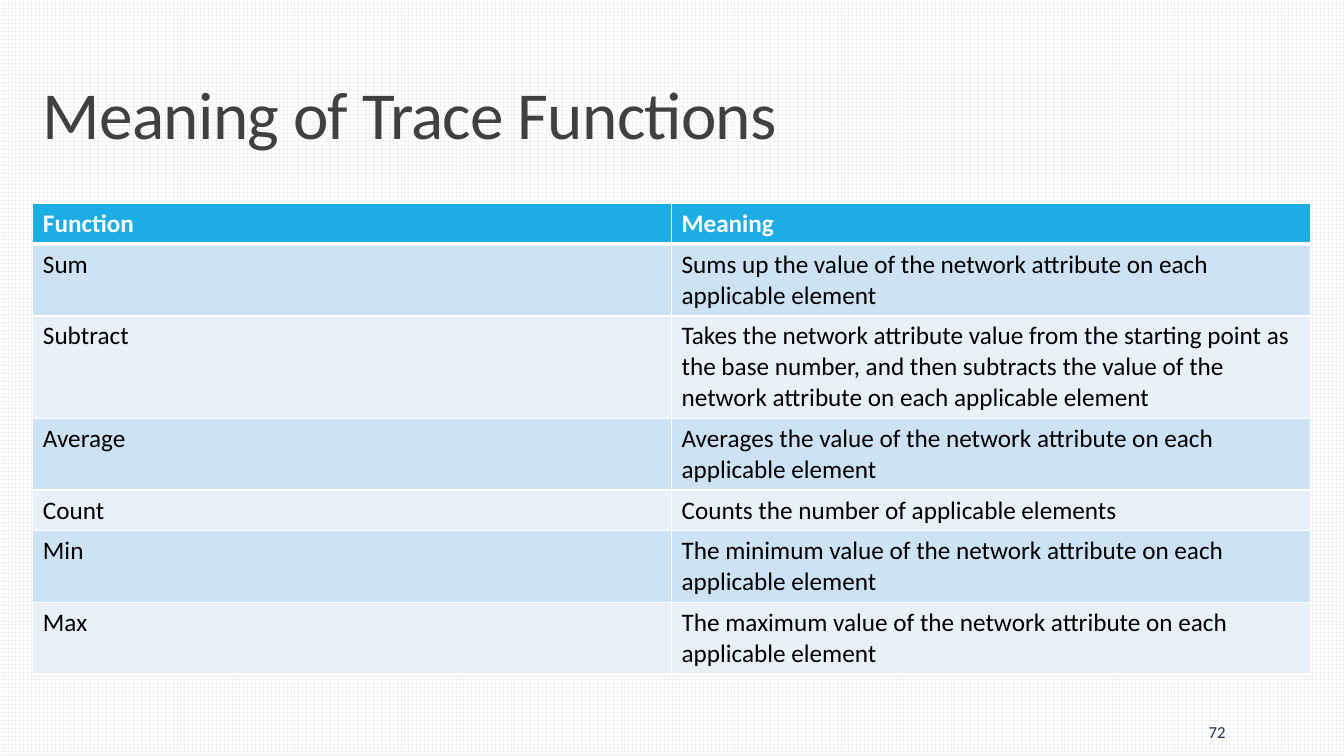
from pptx import Presentation
from pptx.dml.color import RGBColor
from pptx.enum.dml import MSO_PATTERN
from pptx.enum.shapes import MSO_SHAPE
from pptx.enum.text import MSO_ANCHOR, MSO_AUTO_SIZE, PP_ALIGN
from pptx.oxml.ns import qn
from pptx.util import Pt
from lxml import etree

GRID_PATTERN = MSO_PATTERN.LARGE_GRID
RECTANGLE = MSO_SHAPE.RECTANGLE
BOTTOM, MIDDLE = MSO_ANCHOR.BOTTOM, MSO_ANCHOR.MIDDLE
LEFT, RIGHT = PP_ALIGN.LEFT, PP_ALIGN.RIGHT
NO_AUTOFIT = MSO_AUTO_SIZE.NONE

FONT = "Calibri"
COLORS = {
    "white": "FFFFFF",
    "grid": "F2F2F2",
    "title": "404040",
    "header": "1CADE4",
    "odd_row": "CDE3F5",
    "even_row": "E8F1FA",
    "body": "000000",
    "page": "27304E",
}

# Function, meaning, and the number of lines the meaning takes
TRACE_FUNCTIONS = [
    ("Function", "Meaning", 1),
    ("Sum", "Sums up the value of the network attribute on each applicable element", 2),
    ("Subtract", "Takes the network attribute value from the starting point as the base "
     "number, and then subtracts the value of the network attribute on each "
     "applicable element", 3),
    ("Average", "Averages the value of the network attribute on each applicable element", 2),
    ("Count", "Counts the number of applicable elements", 1),
    ("Min", "The minimum value of the network attribute on each applicable element", 2),
    ("Max", "The maximum value of the network attribute on each applicable element", 2),
]
LINE_HEIGHT, CELL_PADDING = 21.6, 7.2
SLIDE_WIDTH, SLIDE_HEIGHT = Pt(960), Pt(540)
MARGIN = Pt(23.5)


def rgb(name):
    return RGBColor.from_string(COLORS[name])


def write(frame, text, size=18, color="body", bold=False, align=LEFT,
          line_spacing=None, tracking=None):
    """Put one formatted paragraph in the frame; tracking is in points."""
    frame.word_wrap = True
    paragraph = frame.paragraphs[0]
    paragraph.alignment = align
    paragraph.line_spacing = line_spacing
    run = paragraph.add_run()
    run.text = text
    run.font.name = FONT
    run.font.size = Pt(size)
    run.font.bold = bold
    run.font.color.rgb = rgb(color)
    if tracking is not None:
        run.font._element.set("spc", str(round(tracking * 100)))


def fill_with_grid(fill):
    fill.patterned()
    fill.pattern = GRID_PATTERN
    fill.fore_color.rgb = rgb("grid")
    fill.back_color.rgb = rgb("white")


def add_footer_band(slide):
    top = Pt(494.8)
    band = slide.shapes.add_shape(RECTANGLE, 0, top, SLIDE_WIDTH, SLIDE_HEIGHT - top)
    band.shadow.inherit = False
    band.line.fill.background()
    fill_with_grid(band.fill)


def set_title(slide, text):
    title = slide.shapes.title
    title.left, title.top, title.width, title.height = MARGIN, Pt(22.5), Pt(913), Pt(90.5)
    frame = title.text_frame
    frame.auto_size = NO_AUTOFIT
    frame.vertical_anchor = BOTTOM
    write(frame, text, size=48, color="title", line_spacing=0.85, tracking=-0.5)


def set_borders(cell, bottom_width):
    """Draw white borders, which must come before the cell's fill."""
    properties = cell._tc.get_or_add_tcPr()
    widths = {"a:lnL": 1, "a:lnR": 1, "a:lnT": 1, "a:lnB": bottom_width}
    for position, (tag, width) in enumerate(widths.items()):
        line = etree.Element(qn(tag), w=str(Pt(width)))
        solid = etree.SubElement(line, qn("a:solidFill"))
        etree.SubElement(solid, qn("a:srgbClr"), val=COLORS["white"])
        properties.insert(position, line)


def add_function_table(slide, rows):
    heights = [Pt(CELL_PADDING + LINE_HEIGHT * lines) for *_, lines in rows]
    table = slide.shapes.add_table(
        len(rows), 2, MARGIN, Pt(145.3), Pt(912.4), sum(heights)).table
    for r, (function, meaning, _) in enumerate(rows):
        table.rows[r].height = heights[r]
        is_header = r == 0
        fill = "header" if is_header else "odd_row" if r % 2 else "even_row"
        for cell, text in zip(table.rows[r].cells, (function, meaning)):
            cell.fill.solid()
            cell.fill.fore_color.rgb = rgb(fill)
            set_borders(cell, bottom_width=3 if is_header else 1)
            write(cell.text_frame, text, bold=is_header,
                  color="white" if is_header else "body")


def add_page_number(slide, number):
    frame = slide.shapes.add_textbox(Pt(779.5), Pt(508.5), Pt(103), Pt(28.8)).text_frame
    frame.vertical_anchor = MIDDLE
    write(frame, number, size=12, color="page", align=RIGHT)


def main():
    presentation = Presentation()
    presentation.slide_width, presentation.slide_height = SLIDE_WIDTH, SLIDE_HEIGHT
    slide = presentation.slides.add_slide(presentation.slide_layouts.get_by_name("Title Only"))
    fill_with_grid(slide.background.fill)
    add_footer_band(slide)
    set_title(slide, "Meaning of Trace Functions")
    add_function_table(slide, TRACE_FUNCTIONS)
    add_page_number(slide, "72")
    presentation.save("out.pptx")


if __name__ == "__main__":
    main()
